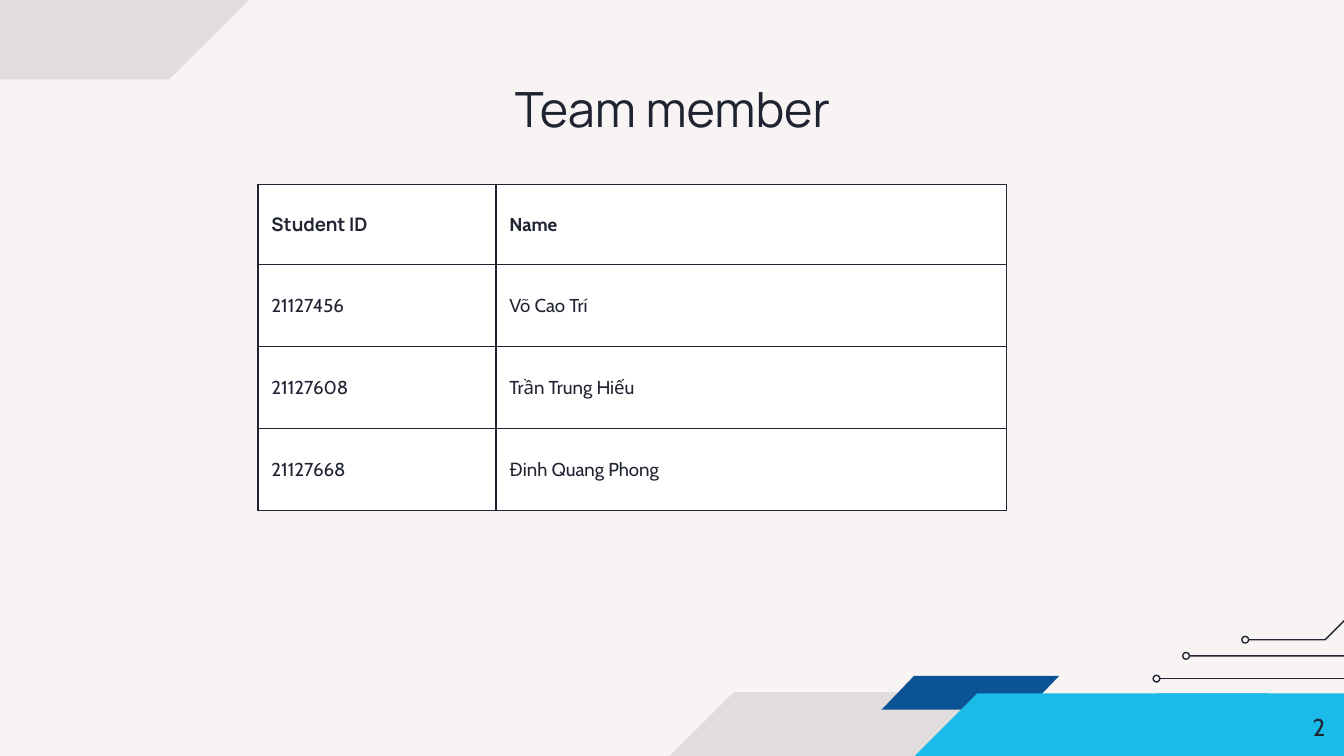
from lxml import etree
from pptx import Presentation
from pptx.dml.color import RGBColor
from pptx.enum.shapes import MSO_CONNECTOR, MSO_SHAPE
from pptx.enum.text import MSO_ANCHOR, PP_ALIGN
from pptx.oxml.ns import qn
from pptx.util import Inches, Pt

COLORS = {
    "background": "F8F4F4",
    "ink": "202331",
    "shade": "000000",
    "blue": "0B5394",
    "cyan": "1BBBE9",
    "cell": "FFFFFF",
}
LINE_WIDTH = Pt(0.75)
MEMBERS = [
    ("Student ID", "Name"),
    ("21127456", "Võ Cao Trí"),
    ("21127608", "Trần Trung Hiếu"),
    ("21127668", "Đinh Quang Phong"),
]


def color(name):
    return RGBColor.from_string(COLORS[name])


def paint(fill, name, alpha=None):
    fill.solid()
    fill.fore_color.rgb = color(name)
    if alpha is not None:
        srgb = fill._xPr.find(qn("a:solidFill"))[0]
        etree.SubElement(srgb, qn("a:alpha"), val=str(alpha * 1000))


def ink_line(line):
    line.color.rgb = color("ink")
    line.width = LINE_WIDTH


def outline(slide, left, top, points, closed=True):
    """Draw straight edges through points given relative to left and top."""
    corners = [(Inches(left + x), Inches(top + y)) for x, y in points]
    builder = slide.shapes.build_freeform(*corners[0])
    builder.add_line_segments(corners[1:], close=closed)
    shape = builder.convert_to_shape()
    shape.shadow.inherit = False
    return shape


def band(slide, left, top, points, fill, alpha=None):
    shape = outline(slide, left, top, points)
    paint(shape.fill, fill, alpha)
    shape.line.fill.background()


def add_circuit(slide, left, top):
    """Draw three traces, each ending in a small ring on its left."""
    ring = 0.05
    traces = [
        [(3.36, 0.08), (1.87, 0.08), (1.65, 0.3), (0.26, 0.3)],
        [(3.31, 0), (1.45, 0), (1.27, 0.18), (0.7, 0.18)],
        [(3.29, 0.47), (0.04, 0.47)],
    ]
    for trace in traces:
        end_x, end_y = left + trace[-1][0], top + trace[-1][1]
        if len(trace) == 2:
            start_x, start_y = left + trace[0][0], top + trace[0][1]
            wire = slide.shapes.add_connector(
                MSO_CONNECTOR.STRAIGHT,
                Inches(start_x), Inches(start_y), Inches(end_x), Inches(end_y))
            etree.SubElement(wire._element.spPr, qn("a:effectLst"))
        else:
            wire = outline(slide, left, top, trace, closed=False)
            wire.fill.background()
        ink_line(wire.line)
        node = slide.shapes.add_shape(
            MSO_SHAPE.OVAL, Inches(end_x - ring), Inches(end_y - ring / 2),
            Inches(ring), Inches(ring))
        node.shadow.inherit = False
        node.fill.background()
        ink_line(node.line)


def add_shades(slide, left, top, corner_left, corner_top):
    """Draw the grey footer band and the same band turned by 180° in the corner."""
    width, height = 3.85, 2.01
    points = [(width, 0), (width, height), (0, height), (2.02, 0)]
    turned = [(width - x, height - y) for x, y in points]
    band(slide, left, top, points, "shade", 9)
    band(slide, corner_left, corner_top, turned, "shade", 9)


def add_footer(slide, left, top):
    """Draw the blue accent and the two overlapping cyan bands."""
    accent = [(1.32, 0), (1.08, 0.25), (0, 0.25), (0.24, 0)]
    steps = [(4.92, 0), (4.92, 2.28), (0, 2.28), (0, 1.5), (0.24, 1.5),
             (1.24, 0.5), (2.25, 0.5), (2.75, 0)]
    band(slide, left + 2.04, top, accent, "blue")
    for offset in (1.34, 0):
        band(slide, left + offset, top + 0.13, steps, "cyan")


def style_text(paragraph, font_name, size, bold=False):
    for name, value in {"name": font_name, "size": Pt(size), "bold": bold}.items():
        setattr(paragraph.font, name, value)
    paragraph.font.color.rgb = color("ink")


def add_label(slide, text, box, font_name, size, align, anchor):
    frame = slide.shapes.add_textbox(*map(Inches, box)).text_frame
    margins = dict.fromkeys(
        ("margin_left", "margin_top", "margin_right", "margin_bottom"), Inches(0.1))
    for name, value in {"word_wrap": True, "vertical_anchor": anchor, **margins}.items():
        setattr(frame, name, value)
    paragraph = frame.paragraphs[0]
    paragraph.text = text
    paragraph.alignment = align
    style_text(paragraph, font_name, size)


def add_borders(cell):
    properties = cell._tc.get_or_add_tcPr()
    for side in ("lnL", "lnR", "lnT", "lnB"):
        border = etree.SubElement(properties, qn(f"a:{side}"), w=str(LINE_WIDTH))
        fill = etree.SubElement(border, qn("a:solidFill"))
        etree.SubElement(fill, qn("a:srgbClr"), val=COLORS["ink"])


def add_members(slide, left, top):
    widths, heights = (1.77, 3.8), (0.6, 0.61, 0.61, 0.61)
    table = slide.shapes.add_table(
        len(heights), len(widths), Inches(left), Inches(top),
        Inches(sum(widths)), Inches(sum(heights))).table
    table.first_row = table.horz_banding = False
    for column, width in zip(table.columns, widths):
        column.width = Inches(width)
    for row, height in zip(table.rows, heights):
        row.height = Inches(height)
    for r, member in enumerate(MEMBERS):
        for c, text in enumerate(member):
            cell = table.cell(r, c)
            add_borders(cell)
            paint(cell.fill, "cell")
            cell.vertical_anchor = MSO_ANCHOR.MIDDLE
            for side in ("left", "top", "right", "bottom"):
                setattr(cell, f"margin_{side}", Inches(0.1))
            cell.text = text
            style_text(cell.text_frame.paragraphs[0],
                       "Manrope" if r == c == 0 else "Cabin", 10, bold=r == 0)


def main():
    deck = Presentation()
    deck.slide_width, deck.slide_height = Inches(10), Inches(10 * 9 / 16)
    slide = deck.slides.add_slide(deck.slide_layouts[6])
    paint(slide.background.fill, "background")
    add_circuit(slide, 8.59, 4.58)
    add_shades(slide, 3.44, 5.15, -0.57, -1.42)
    add_footer(slide, 4.52, 5.03)
    add_label(slide, "Team member", (0.79, 0.49, 8.43, 0.63), "Manrope", 26,
              PP_ALIGN.CENTER, MSO_ANCHOR.TOP)
    add_members(slide, 1.92, 1.37)
    add_label(slide, "2", (9.36, 5.19, 0.6, 0.43), "Cabin", 13,
              PP_ALIGN.RIGHT, MSO_ANCHOR.MIDDLE)
    deck.save("out.pptx")


if __name__ == "__main__":
    main()
